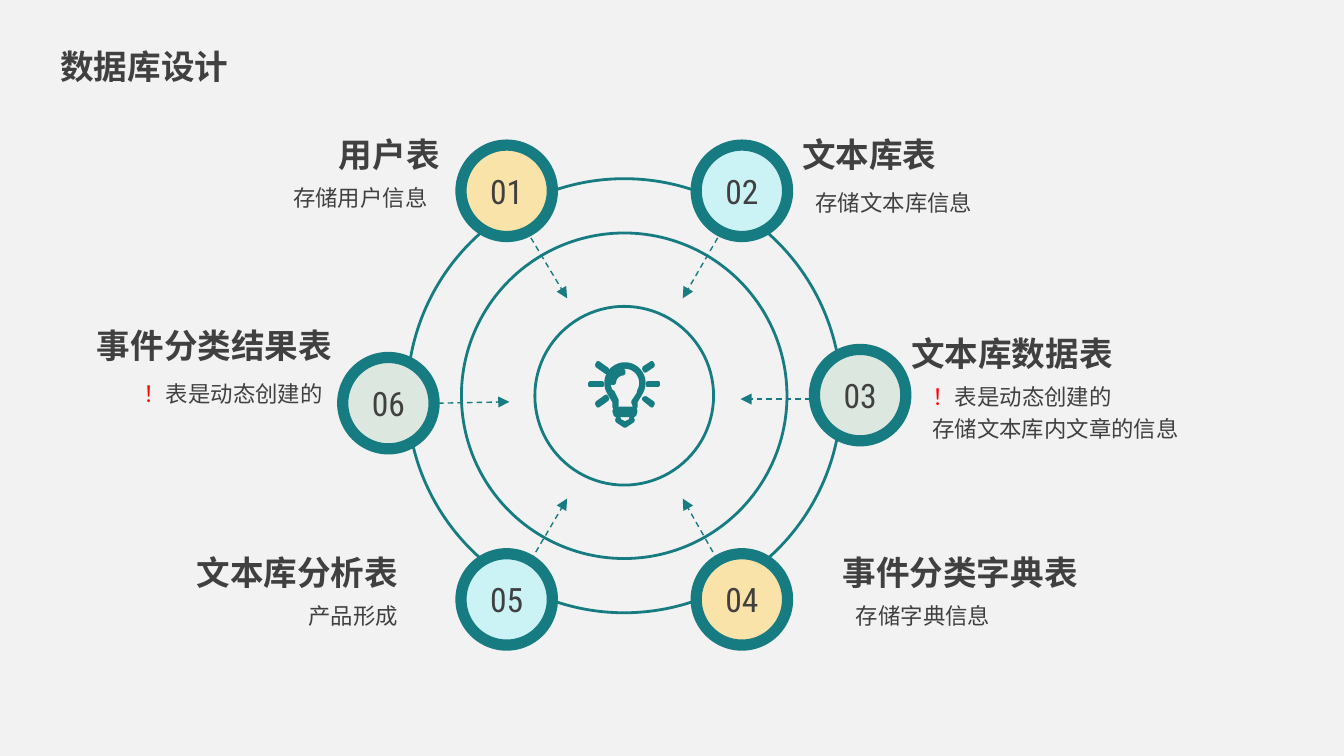
from math import cos, radians, sin
from lxml import etree
from pptx import Presentation
from pptx.dml.color import RGBColor
from pptx.enum.dml import MSO_LINE
from pptx.enum.shapes import MSO_CONNECTOR, MSO_SHAPE
from pptx.enum.text import MSO_ANCHOR, MSO_AUTO_SIZE, PP_ALIGN
from pptx.oxml.ns import qn
from pptx.util import Inches, Pt

OVAL, DONUT = MSO_SHAPE.OVAL, MSO_SHAPE.DONUT
LEFT, RIGHT, CENTER = PP_ALIGN.LEFT, PP_ALIGN.RIGHT, PP_ALIGN.CENTER
DASH, MIDDLE = MSO_LINE.DASH, MSO_ANCHOR.MIDDLE
FIT, STRAIGHT = MSO_AUTO_SIZE.SHAPE_TO_FIT_TEXT, MSO_CONNECTOR.STRAIGHT
COLORS = {
    "back": "F2F2F2", "teal": "177B82", "ink": "404040", "red": "FF0000",
    "sand": "FAE3A8", "aqua": "CBF3F6", "sage": "DBE7DF", "white": "FFFFFF",
}
RGB = {key: RGBColor.from_string(code) for key, code in COLORS.items()}


def add_run(para, words, size, font, color="ink", bold=False):
    run = para.add_run()
    run.text = words
    run.font.size = Pt(size)
    run.font.name = font
    run.font.bold = bold
    run.font.color.rgb = RGB[color]


def arc(x, y, radius, start, end):
    return [(x + radius * cos(radians(a)), y + radius * sin(radians(a)))
            for a in range(start, end + 1, 10)]


prs = Presentation()
prs.slide_width, prs.slide_height = Inches(10), Inches(10 * 9 / 16)
slide = prs.slides.add_slide(prs.slide_layouts[6])
slide.background.fill.solid()
slide.background.fill.fore_color.rgb = RGB["back"]
shapes = slide.shapes

title = shapes.add_textbox(Inches(0.35), Inches(0.29), Inches(3.54), Inches(0.4))
title.text_frame.word_wrap = True
title.text_frame.auto_size = FIT
add_run(title.text_frame.paragraphs[0], "数据库设计", 18, "Noto Sans CJK SC", bold=True)

for kind, x, y, size in [(DONUT, 3.03, 1.33, 3.23), (OVAL, 3.98, 2.28, 1.33)]:
    ring = shapes.add_shape(kind, Inches(x), Inches(y), Inches(size), Inches(size))
    ring.shadow.inherit = False
    ring.fill.background()
    ring.line.color.rgb = RGB["teal"]
    ring.line.width = Pt(1.5)
    if kind == DONUT:
        ring.adjustments[0] = 0.125

arrows = [
    (3.95, 1.77, 4.22, 2.22), (5.34, 1.77, 5.08, 2.22), (6.03, 2.97, 5.51, 2.97),
    (5.34, 4.17, 5.08, 3.71), (3.95, 4.17, 4.22, 3.71), (3.26, 3, 3.79, 2.99),
]
for ends in arrows:
    arrow = shapes.add_connector(STRAIGHT, *[Inches(v) for v in ends])
    arrow.line.color.rgb = RGB["teal"]
    arrow.line.width = Pt(0.75)
    arrow.line.dash_style = DASH
    line = arrow._element.spPr.find(qn("a:ln"))
    etree.SubElement(line, qn("a:tailEnd"), type="triangle")
    etree.SubElement(arrow._element.spPr, qn("a:effectLst"))

nodes = [
    (3.43, 1.08, "sand"), (5.18, 1.08, "aqua"), (6.06, 2.6, "sage"),
    (5.18, 4.12, "sand"), (3.43, 4.12, "aqua"), (2.55, 2.66, "sage"),
]
for num, (x, y, color) in enumerate(nodes, 1):
    node = shapes.add_shape(OVAL, Inches(x), Inches(y), Inches(0.68), Inches(0.68))
    node.shadow.inherit = False
    node.fill.solid()
    node.fill.fore_color.rgb = RGB[color]
    node.line.color.rgb = RGB["teal"]
    node.line.width = Pt(6)
    frame = node.text_frame
    frame.margin_left = frame.margin_right = 0
    frame.vertical_anchor = MIDDLE
    frame.paragraphs[0].alignment = CENTER
    add_run(frame.paragraphs[0], f"{num:02}", 18, "Roboto Condensed")

outer = [(4.57, 3.03), (4.57, 2.99), (4.54, 2.94), *arc(4.65, 2.85, 0.14, 150, 390),
         (4.76, 2.94), (4.73, 2.99), (4.73, 3.03)]
inner = [(4.59, 3.02), (4.59, 2.98), (4.56, 2.92), *arc(4.65, 2.85, 0.12, 150, 390),
         (4.75, 2.93), (4.71, 2.99), (4.72, 3.02)]
shine = arc(4.64, 2.85, 0.09, 180, 270) + arc(4.64, 2.85, 0.07, 180, 270)[::-1]
bulb = [
    outer + inner[::-1],
    shine,
    [(4.58, 3.04), (4.72, 3.04), (4.73, 3.06), (4.72, 3.09), (4.58, 3.09), (4.57, 3.06)],
    [(4.59, 3.05), (4.71, 3.05), (4.71, 3.07), (4.59, 3.07)],
    [(4.6, 3.1), (4.61, 3.13), (4.65, 3.15), (4.69, 3.13), (4.7, 3.1),
     (4.71, 3.13), (4.65, 3.17), (4.59, 3.13)],
    [(4.8, 2.96), (4.86, 3), (4.85, 3.02), (4.79, 2.97)],
    [(4.51, 2.95), (4.52, 2.97), (4.45, 3.02), (4.44, 3)],
    [(4.82, 2.85), (4.9, 2.85), (4.9, 2.87), (4.82, 2.87)],
    [(4.39, 2.85), (4.48, 2.85), (4.48, 2.87), (4.39, 2.87)],
    [(4.45, 2.7), (4.52, 2.75), (4.51, 2.77), (4.44, 2.72)],
    [(4.85, 2.7), (4.86, 2.72), (4.8, 2.76), (4.79, 2.74)],
]
pen = None
for part in bulb:
    points = [(Inches(x), Inches(y)) for x, y in part]
    if pen is None:
        pen = shapes.build_freeform(*points[0])
    else:
        pen.move_to(*points[0])
    pen.add_line_segments(points[1:], close=True)
icon = pen.convert_to_shape()
icon.shadow.inherit = False
icon.fill.solid()
icon.fill.fore_color.rgb = RGB["white"]
tint = icon._element.spPr.find(qn("a:solidFill"))[0]
etree.SubElement(tint, qn("a:alpha"), val="50000")
icon.line.color.rgb = RGB["teal"]
icon.line.width = Pt(2)

note = [("！", "red"), ("表是动态创建的", "ink")]
labels = [
    (5.87, 0.89, 1.62, 0.46, 18, LEFT, [[("文本库表", "ink")]]),
    (6.27, 4.39, 3.61, 0.34, 12, LEFT, [[("存储字典信息", "ink")]]),
    (6.17, 4, 2.13, 1.57, 18, LEFT, [[("事件分类字典表", "ink")]]),
    (6.68, 2.37, 1.75, 0.46, 18, LEFT, [[("文本库数据表", "ink")]]),
    (2.08, 0.89, 1.29, 0.46, 18, RIGHT, [[("用户表", "ink")]]),
    (1.14, 4.39, 1.92, 0.32, 12, RIGHT, [[("产品形成", "ink")]]),
    (0.83, 4, 2.23, 0.46, 18, RIGHT, [[("文本库分析表", "ink")]]),
    (1.82, 1.28, 1.46, 0.32, 12, RIGHT, [[("存储用户信息", "ink")]]),
    (5.97, 1.32, 1.46, 0.32, 12, LEFT, [[("存储文本库信息", "ink")]]),
    (6.84, 2.76, 2.1, 0.59, 12, LEFT, [note, [("存储文本库内文章的信息", "ink")]]),
    (0.34, 2.31, 2.23, 0.43, 18, RIGHT, [[("事件分类结果表", "ink")]]),
    (0.83, 2.74, 1.67, 0.34, 12, RIGHT, [note]),
]
for x, y, wide, high, size, align, rows in labels:
    box = shapes.add_textbox(Inches(x), Inches(y), Inches(wide), Inches(high))
    frame = box.text_frame
    frame.word_wrap = True
    frame.auto_size = FIT
    for i, row in enumerate(rows):
        para = frame.add_paragraph() if i else frame.paragraphs[0]
        para.alignment = align
        para.line_spacing = 1.2
        for words, color in row:
            add_run(para, words, size, "Arial", color, size == 18)

prs.save("out.pptx")
